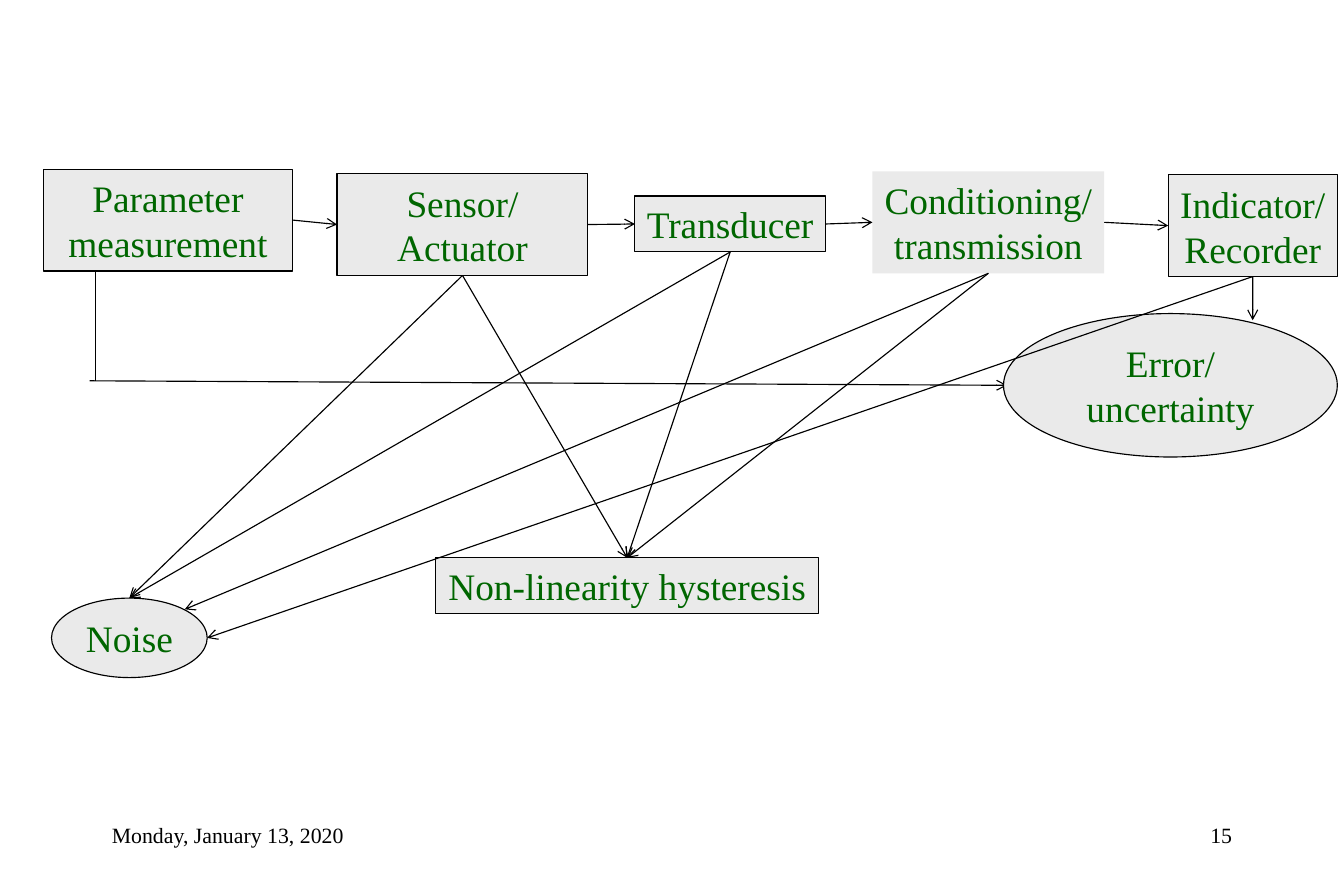
"""Build a slide showing a measurement chain and its sources of error."""
import pptx
import pptx.util
import pptx.dml.color
import pptx.enum.shapes
import pptx.enum.text
import pptx.oxml
import pptx.oxml.ns

Pt = pptx.util.Pt
MSO_SHAPE = pptx.enum.shapes.MSO_SHAPE
PP_ALIGN = pptx.enum.text.PP_ALIGN
BLACK = pptx.dml.color.RGBColor(0x00, 0x00, 0x00)
GREEN = pptx.dml.color.RGBColor(0x00, 0x66, 0x00)
GREY = pptx.dml.color.RGBColor(0xEA, 0xEA, 0xEA)
FONT = "Times New Roman"
TOP, LEFT, BOTTOM, RIGHT = range(4)


def format_text(tf, size, color, align):
    for p in tf.paragraphs:
        p.alignment = align
        for r in p.runs:
            r.font.name = FONT
            r.font.size = Pt(size)
            r.font.color.rgb = color


def add_line(x1, y1, x2, y2, arrow=True):
    line = s.shapes.add_connector(
        pptx.enum.shapes.MSO_CONNECTOR.STRAIGHT, Pt(x1), Pt(y1), Pt(x2), Pt(y2))
    line.line.color.rgb = BLACK
    line.line.width = Pt(0.75)
    if arrow:
        ln = line.line._get_or_add_ln()
        ln.append(pptx.oxml.parse_xml(
            f'<a:tailEnd {pptx.oxml.ns.nsdecls("a")} type="arrow"/>'))
    line._element.spPr.append(pptx.oxml.parse_xml(
        f'<a:effectLst {pptx.oxml.ns.nsdecls("a")}/>'))
    return line


prs = pptx.Presentation()
prs.slide_width = Pt(864)
prs.slide_height = Pt(576)
s = prs.slides.add_slide(prs.slide_layouts[6])

for text, left, align in [
    ("Monday, January 13, 2020", 64.8, PP_ALIGN.LEFT),
    ("15", 619.2, PP_ALIGN.RIGHT),
]:
    tf = s.shapes.add_textbox(Pt(left), Pt(524.9), Pt(180), Pt(38.2)).text_frame
    tf.word_wrap = True
    tf.text = text
    format_text(tf, 14, BLACK, align)

add_line(61.2, 174.2, 61.2, 244.8, arrow=False)
add_line(57.6, 244.8, 647.3, 247.7)

nodes = {}
for name, text, kind, left, top, width, height, wrap in [
    ("parameter", "Parameter measurement", MSO_SHAPE.RECTANGLE, 28.1, 108.7, 159.8, 65.5, True),
    ("sensor", "Sensor/\nActuator", MSO_SHAPE.RECTANGLE, 216.7, 111.6, 161.3, 65.5, True),
    ("transducer", "Transducer", MSO_SHAPE.RECTANGLE, 408.2, 126, 122.4, 36, False),
    ("conditioning", "Conditioning/\ntransmission", MSO_SHAPE.RECTANGLE, 560.9, 110.2, 149, 65.5, False),
    ("indicator", "Indicator/\nRecorder", MSO_SHAPE.RECTANGLE, 751, 112.3, 108.7, 65.5, False),
    ("error", "Error/\nuncertainty", MSO_SHAPE.OVAL, 645.1, 201.6, 214.6, 92.2, True),
    ("hysteresis", "Non-linearity hysteresis", MSO_SHAPE.RECTANGLE, 280.1, 358.6, 246.2, 36, False),
    ("noise", "Noise", MSO_SHAPE.OVAL, 33.1, 384.5, 100.1, 51.1, False),
]:
    sp = s.shapes.add_shape(kind, Pt(left), Pt(top), Pt(width), Pt(height))
    sp.shadow.inherit = False
    sp.fill.solid()
    sp.fill.fore_color.rgb = GREY
    if name == "conditioning":
        sp.line.fill.background()
    else:
        sp.line.color.rgb = BLACK
        sp.line.width = Pt(0.75)
    tf = sp.text_frame
    tf.word_wrap = wrap
    tf.vertical_anchor = pptx.enum.text.MSO_ANCHOR.MIDDLE
    tf.text = text
    format_text(tf, 24, GREEN, PP_ALIGN.CENTER)
    nodes[name] = sp

chain = ["parameter", "sensor", "transducer", "conditioning", "indicator"]
links = [(a, RIGHT, b, LEFT) for a, b in zip(chain, chain[1:])]
links += [(a, BOTTOM, "hysteresis", TOP) for a in chain[1:4]]
links += [(a, BOTTOM, "noise", TOP) for a in chain[1:3]]
for start, start_site, end, end_site in links:
    line = add_line(0, 0, 0, 0)
    line.begin_connect(nodes[start], start_site)
    line.end_connect(nodes[end], end_site)

for start, x, y in [
    ("conditioning", 118.8, 391.7),
    ("indicator", 133.2, 410.1),
    ("indicator", 805.3, 205.9),
]:
    line = add_line(x, y, x, y)
    line.begin_connect(nodes[start], BOTTOM)

prs.save("out.pptx")
